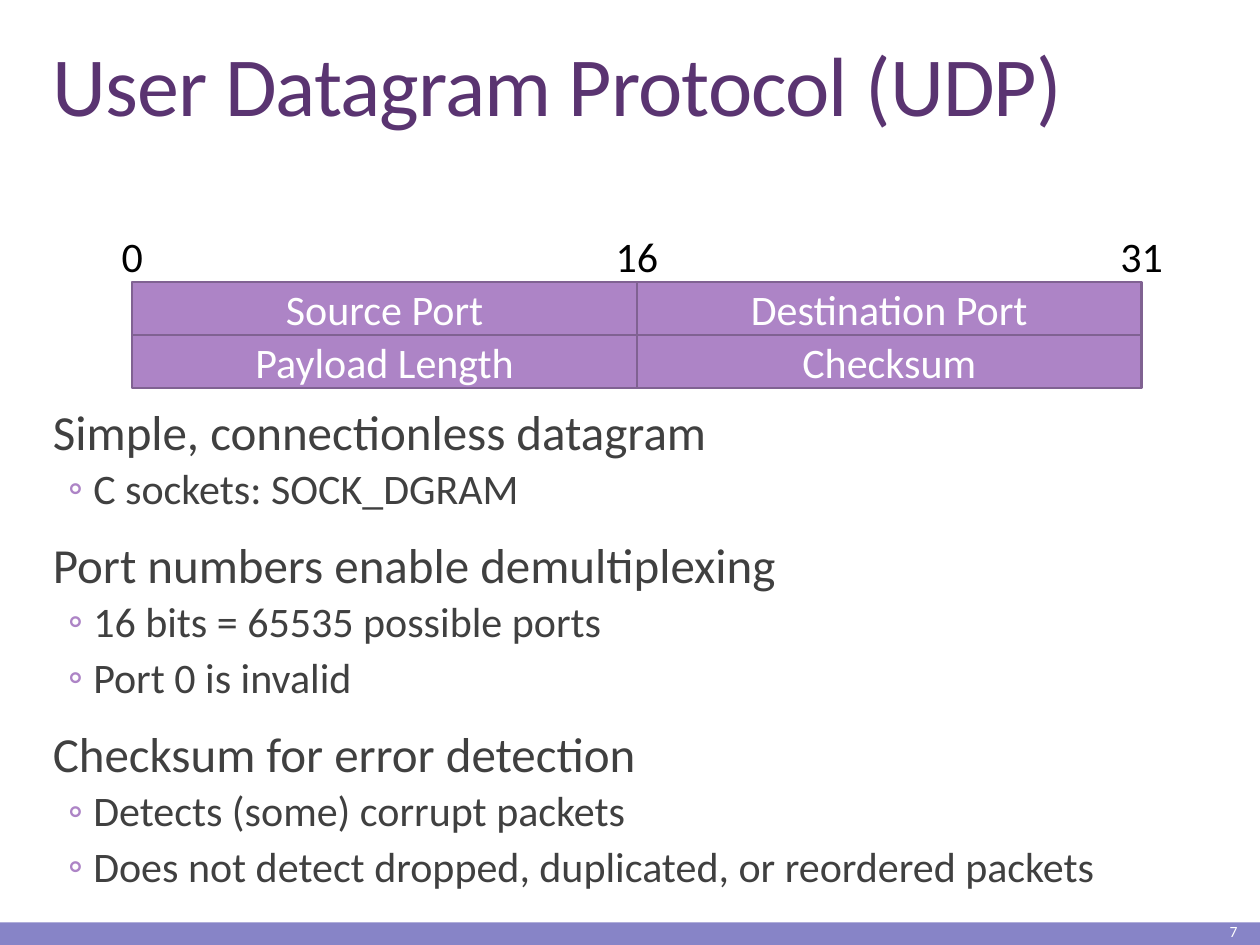
from dataclasses import dataclass

from lxml import etree
from pptx import Presentation
from pptx.dml.color import RGBColor
from pptx.enum.shapes import MSO_SHAPE as Shape
from pptx.enum.text import MSO_ANCHOR as Anchor, PP_ALIGN as Align
from pptx.oxml.ns import qn
from pptx.util import Inches, Pt


@dataclass(frozen=True)
class Theme:
    font: str = "Calibri"
    title: str = "5A3471"
    text: str = "404040"
    label: str = "000000"
    white: str = "FFFFFF"
    field: str = "AD84C6"
    outline: str = "806292"
    footer: str = "8784C7"
    title_size: float = 48
    body_size: float = 28
    detail_size: float = 24
    number_size: float = 8.9


theme = Theme()
deck = Presentation()
deck.slide_width, deck.slide_height = Inches(10), Inches(7.5)
page = deck.slides.add_slide(deck.slide_layouts[6])


def add_box(left, top, width, height, fill=None, anchor=Anchor.MIDDLE):
    """Add a text box, or a rectangle when a fill is given."""
    area = [Inches(length) for length in (left, top, width, height)]
    if fill:
        box = page.shapes.add_shape(Shape.RECTANGLE, *area)
        box.shadow.inherit = False
        box.fill.solid()
        box.fill.fore_color.rgb = RGBColor.from_string(fill)
        box.line.fill.background()
    else:
        box = page.shapes.add_textbox(*area)
    box.text_frame.word_wrap = True
    box.text_frame.vertical_anchor = anchor
    return box


def add_span(para, text, size, color, align=Align.LEFT):
    para.alignment = align
    span = para.add_run()
    span.text = text
    span.font.name = theme.font
    span.font.size = Pt(size)
    span.font.color.rgb = RGBColor.from_string(color)
    return span


# Footer band and page number
add_box(0, 7.32, 10, 0.18, theme.footer)
number = add_box(8.84, 7.28, 1.08, 0.22)
add_span(number.text_frame.paragraphs[0], "7", theme.number_size, theme.white, Align.RIGHT)

# Title
title = add_box(0.32, 0.31, 9.48, 0.8, anchor=Anchor.BOTTOM)
para = title.text_frame.paragraphs[0]
para.line_spacing = 0.85
span = add_span(para, "User Datagram Protocol (UDP)", theme.title_size, theme.title)
span.font._element.set("spc", "-50")

# UDP header: bit positions above a two by two grid of fields
header_left, header_top = 1.05, 2.24
field_width, field_height = 4.005, 0.42
header = [("Source Port", "Destination Port"), ("Payload Length", "Checksum")]

for column, bit in enumerate(("0", "16", "31")):
    label = add_box(header_left + column * field_width - 0.325, 1.7, 0.65, 0.66)
    add_span(label.text_frame.paragraphs[0], bit, theme.detail_size, theme.label, Align.CENTER)

for row, names in enumerate(header):
    for column, name in enumerate(names):
        field = add_box(header_left + column * field_width, header_top + row * field_height,
                        field_width, field_height, theme.field)
        field.line.color.rgb = RGBColor.from_string(theme.outline)
        field.line.width = Pt(1.25)
        add_span(field.text_frame.paragraphs[0], name, theme.detail_size, theme.white, Align.CENTER)

# Body: each point with its details
points = [
    ("Simple, connectionless datagram", ["C sockets: SOCK_DGRAM"]),
    ("Port numbers enable demultiplexing",
     ["16 bits = 65535 possible ports", "Port 0 is invalid"]),
    ("Checksum for error detection",
     ["Detects (some) corrupt packets",
      "Does not detect dropped, duplicated, or reordered packets"]),
]
frame = add_box(0.32, 3.19, 9.48, 3.96, anchor=Anchor.TOP).text_frame
frame.margin_left = frame.margin_right = 0

for index, (point, details) in enumerate(points):
    para = frame.add_paragraph() if index else frame.paragraphs[0]
    para.line_spacing = 0.9
    para.space_before = Pt(12 if index else 0)
    para.space_after = Pt(2)
    para._p.get_or_add_pPr().set("marL", str(Inches(0.1)))
    add_span(para, point, theme.body_size, theme.text)

    for detail in details:
        para = frame.add_paragraph()
        para.level = 1
        para.line_spacing = 0.9
        para.space_before, para.space_after = Pt(2), Pt(4)
        props = para._p.get_or_add_pPr()
        props.set("marL", str(Inches(0.42)))
        props.set("indent", str(Inches(-0.2)))
        bullet_color = etree.SubElement(props, qn("a:buClr"))
        etree.SubElement(bullet_color, qn("a:srgbClr"), val=theme.field)
        etree.SubElement(props, qn("a:buFont"), typeface=theme.font)
        etree.SubElement(props, qn("a:buChar"), char="◦")
        add_span(para, detail, theme.detail_size, theme.text)

deck.save("out.pptx")
